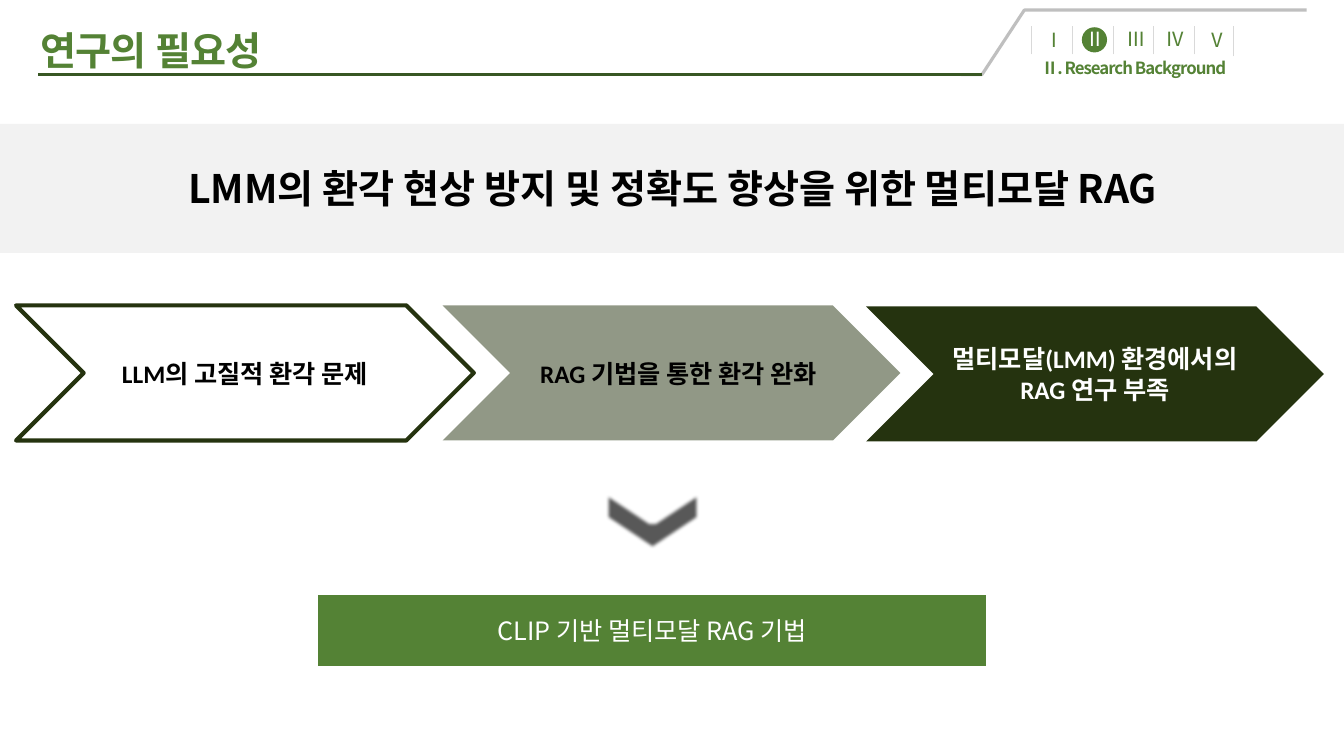
"""Build the research need slide with its banner, three arrows and result."""
from lxml import etree
from pptx import Presentation
from pptx.dml.color import RGBColor
from pptx.enum.shapes import MSO_CONNECTOR, MSO_SHAPE
from pptx.enum.text import MSO_ANCHOR, PP_ALIGN
from pptx.oxml.ns import qn
from pptx.util import Inches, Pt

LINE = MSO_CONNECTOR.STRAIGHT
RECT, OVAL, ARROW = MSO_SHAPE.RECTANGLE, MSO_SHAPE.OVAL, MSO_SHAPE.CHEVRON
TOP, MIDDLE = MSO_ANCHOR.TOP, MSO_ANCHOR.MIDDLE
LEFT, CENTER = PP_ALIGN.LEFT, PP_ALIGN.CENTER
SANS, LATIN = "Noto Sans CJK KR", "Calibri"
COLORS = {
    "green": "548235", "rule": "385723", "dark": "25330F", "band": "F2F2F2",
    "edge": "BFBFBF", "tick": "D9D9D9", "gray": "595959",
    "black": "000000", "white": "FFFFFF",
}

TITLE = "연구의 필요성"
CLAIM = "LMM의 환각 현상 방지 및 정확도 향상을 위한 멀티모달 RAG"
PART = "Ⅱ. Research Background"
RESULT = "CLIP 기반 멀티모달 RAG 기법"
MARKS = [
    ("Ⅰ", 10.36, 0.13, 0.16, "green"),
    ("Ⅱ", 10.77, 0.12, 0.45, "white"),
    ("Ⅲ", 11.17, 0.12, 0.45, "green"),
    ("Ⅳ", 11.56, 0.12, 0.45, "green"),
    ("Ⅴ", 11.98, 0.13, 0.55, "green"),
]
TICKS = [10.23, 10.64, 11.04, 11.44, 11.85, 12.23]
EDGE = [(12.96, 0.1), (10.16, 0.1), (9.74, 0.74), (9.53, 0.74)]
STEPS = [
    (0.16, 3.03, None, "dark", ["LLM의 고질적 환각 문제"], "black"),
    (8.59, 3.04, "dark", None, ["멀티모달(LMM) 환경에서의", "RAG 연구 부족"], "white"),
    (4.39, 3.03, "dark", None, [], "black"),
]
BRIDGE = "RAG 기법을 통한 환각 완화"


def tint(name):
    return RGBColor.from_string(COLORS[name])


def write(shape, lines, size, color, font=SANS, bold=False, align=LEFT,
          anchor=MIDDLE, inset=0, track=0, lead=None, before=None, wrap=True):
    frame = shape.text_frame
    frame.word_wrap = wrap
    frame.vertical_anchor = anchor
    frame.margin_left = frame.margin_right = Inches(inset)
    frame.margin_top = frame.margin_bottom = Inches(inset / 2)
    frame.text = "\n".join(lines)
    for para in frame.paragraphs:
        para.alignment = align
        para.line_spacing = lead
        para.space_before = before
        face = para.font
        face.size, face.bold, face.name = Pt(size), bold, font
        face.color.rgb = tint(color)
        props = para._p.find(qn("a:pPr")).find(qn("a:defRPr"))
        etree.SubElement(props, qn("a:ea")).set("typeface", font)
        if track:
            props.set("spc", str(round(track * 100)))


def label(slide, box, lines, size, color, **style):
    text = slide.shapes.add_textbox(*map(Inches, box))
    write(text, lines, size, color, **style)


def paint(shape, fill=None, line=None, width=1):
    shape.shadow.inherit = False
    if fill:
        shape.fill.solid()
        shape.fill.fore_color.rgb = tint(fill)
    else:
        shape.fill.background()
    if line:
        shape.line.color.rgb = tint(line)
        shape.line.width = Pt(width)
    else:
        shape.line.fill.background()


def block(slide, kind, box, fill=None, line=None, width=1):
    shape = slide.shapes.add_shape(kind, *map(Inches, box))
    paint(shape, fill, line, width)
    return shape


def rule(slide, start, end, color, width):
    line = slide.shapes.add_connector(LINE, *map(Inches, start + end))
    line.line.color.rgb = tint(color)
    line.line.width = Pt(width)
    etree.SubElement(line._element.spPr, qn("a:effectLst"))


def header(slide):
    block(slide, RECT, (0, 1.23, 13.33, 1.28), "band")
    pen = slide.shapes.build_freeform(*map(Inches, EDGE[0]))
    pen.add_line_segments([tuple(map(Inches, dot)) for dot in EDGE[1:]], close=False)
    paint(pen.convert_to_shape(), None, "edge", 2.25)
    rule(slide, (9.74, 0.74), (0.38, 0.74), "rule", 2.25)
    label(slide, (10.33, 0.57, 1.85, 0.2), [PART], 12, "green",
          bold=True, anchor=TOP, track=-0.7)
    block(slide, OVAL, (10.73, 0.27, 0.25, 0.25), "green")
    for mark, left, top, width, color in MARKS:
        label(slide, (left, top, width, 0.51), [mark], 14, color, track=-0.3, lead=1.1)
    for left in TICKS:
        low = 0.56 if left == TICKS[-1] else 0.54
        rule(slide, (left, low), (left, 0.26), "tick", 0.75)
    label(slide, (0.38, 1.39, 12.58, 1.01), [CLAIM], 28, "black", bold=True,
          align=CENTER, inset=0.1, lead=0.9, before=Pt(10))
    label(slide, (0.4, 0.31, 7.43, 0.42), [TITLE], 28, "green", font="Arial",
          bold=True, anchor=TOP, track=-0.7, lead=0.9, before=Pt(10))


def steps(slide):
    for left, top, fill, line, lines, color in STEPS:
        arrow = block(slide, ARROW, (left, top, 4.54, 1.34), fill, line, 3)
        if lines:
            write(arrow, lines, 18, color, font=LATIN, bold=True, align=CENTER)
        else:
            shade = arrow._element.spPr.find(qn("a:solidFill"))[0]
            etree.SubElement(shade, qn("a:alpha")).set("val", "50000")
    label(slide, (5.15, 3.5, 3.16, 0.4), [BRIDGE], 18, "black", font=LATIN,
          bold=True, align=CENTER, inset=0.1, wrap=False)


def result(slide):
    down = block(slide, ARROW, (6.17, 4.7, 0.61, 0.93), "gray")
    down.rotation = 90
    effects = down._element.spPr.find(qn("a:effectLst"))
    etree.SubElement(effects, qn("a:softEdge")).set("rad", "31750")
    box = block(slide, RECT, (3.15, 5.9, 6.64, 0.71), "green", "white")
    write(box, [RESULT], 18, "white", align=CENTER, inset=0.1)


def main():
    deck = Presentation()
    deck.slide_width, deck.slide_height = Inches(13.33), Inches(7.5)
    slide = deck.slides.add_slide(deck.slide_layouts[6])
    header(slide)
    steps(slide)
    result(slide)
    deck.save("out.pptx")


if __name__ == "__main__":
    main()
